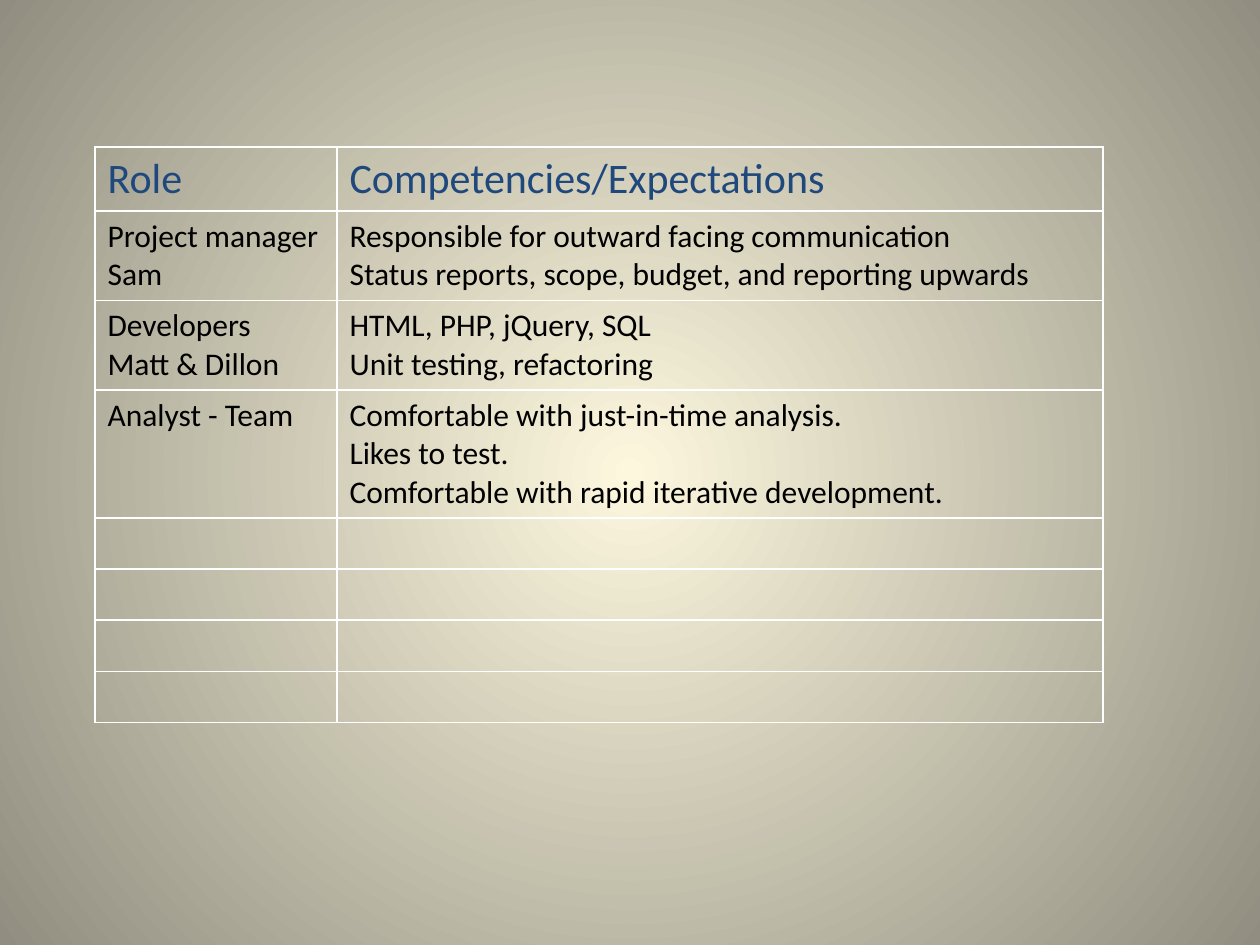
from dataclasses import dataclass

from lxml.etree import SubElement
from pptx import Presentation
from pptx.dml.color import RGBColor
from pptx.oxml.ns import qn
from pptx.util import Emu, Pt

PX = 914400 / 126  # EMU per px
FONT = "Calibri"
WHITE = RGBColor(0xFF, 0xFF, 0xFF)
BLACK = RGBColor(0x00, 0x00, 0x00)
NAVY = RGBColor(0x1F, 0x49, 0x7D)
CREAM = RGBColor(0xFC, 0xF7, 0xDD)
TAUPE = RGBColor(0x91, 0x8E, 0x81)


@dataclass(frozen=True)
class Row:
    role: str = ""
    expectations: str = ""
    height: int = 51
    size: int = 18
    color: RGBColor = BLACK


LEFT, TOP = 95, 147
COL_WIDTHS = (242, 766)
ROWS = [
    Row("Role", "Competencies/Expectations", 64, 24, NAVY),
    Row("Project manager\nSam",
        "Responsible for outward facing communication\n"
        "Status reports, scope, budget, and reporting upwards", 89),
    Row("Developers\nMatt & Dillon",
        "HTML, PHP, jQuery, SQL\nUnit testing, refactoring", 89),
    Row("Analyst - Team",
        "Comfortable with just-in-time analysis.\nLikes to test.\n"
        "Comfortable with rapid iterative development.", 128),
] + [Row()] * 4


def px(n: int) -> Emu:
    return Emu(round(n * PX))


def set_radial_background(s, center: RGBColor, edge: RGBColor) -> None:
    fill = s.background.fill
    fill.gradient()
    for stop, color, position in zip(fill.gradient_stops, (center, edge), (0, 1)):
        stop.color.rgb = color
        stop.position = position
    # A circular path takes the place of the linear direction
    grad = s.element.find(".//" + qn("a:gradFill"))
    grad.remove(grad.find(qn("a:lin")))
    circle = SubElement(grad, qn("a:path"), path="circle")
    SubElement(circle, qn("a:fillToRect"), l="50000", t="50000", r="50000", b="50000")


def set_borders(cell, color: RGBColor, width: Pt) -> None:
    tc_pr = cell._tc.get_or_add_tcPr()
    for i, side in enumerate("LRTB"):
        ln = SubElement(tc_pr, qn(f"a:ln{side}"), w=str(int(width)))
        solid = SubElement(ln, qn("a:solidFill"))
        SubElement(solid, qn("a:srgbClr"), val=str(color))
        tc_pr.insert(i, ln)  # borders come before the fill


def fill_cell(cell, text: str, row: Row) -> None:
    cell.fill.background()
    set_borders(cell, WHITE, Pt(1))
    cell.text = text
    for p in cell.text_frame.paragraphs:
        p.font.name = FONT
        p.font.size = Pt(row.size)
        p.font.color.rgb = row.color


def add_role_table(s, rows: list[Row]) -> None:
    height = sum(row.height for row in rows)
    table = s.shapes.add_table(len(rows), len(COL_WIDTHS), px(LEFT), px(TOP),
                               px(sum(COL_WIDTHS)), px(height)).table
    table.first_row = table.horz_banding = False
    for column, width in zip(table.columns, COL_WIDTHS):
        column.width = px(width)
    for i, row in enumerate(rows):
        table.rows[i].height = px(row.height)
        for j, text in enumerate((row.role, row.expectations)):
            fill_cell(table.cell(i, j), text, row)


def main() -> None:
    prs = Presentation()
    prs.slide_width, prs.slide_height = px(1260), px(945)
    s = prs.slides.add_slide(prs.slide_layouts[6])
    set_radial_background(s, CREAM, TAUPE)
    add_role_table(s, ROWS)
    prs.save("out.pptx")


if __name__ == "__main__":
    main()
